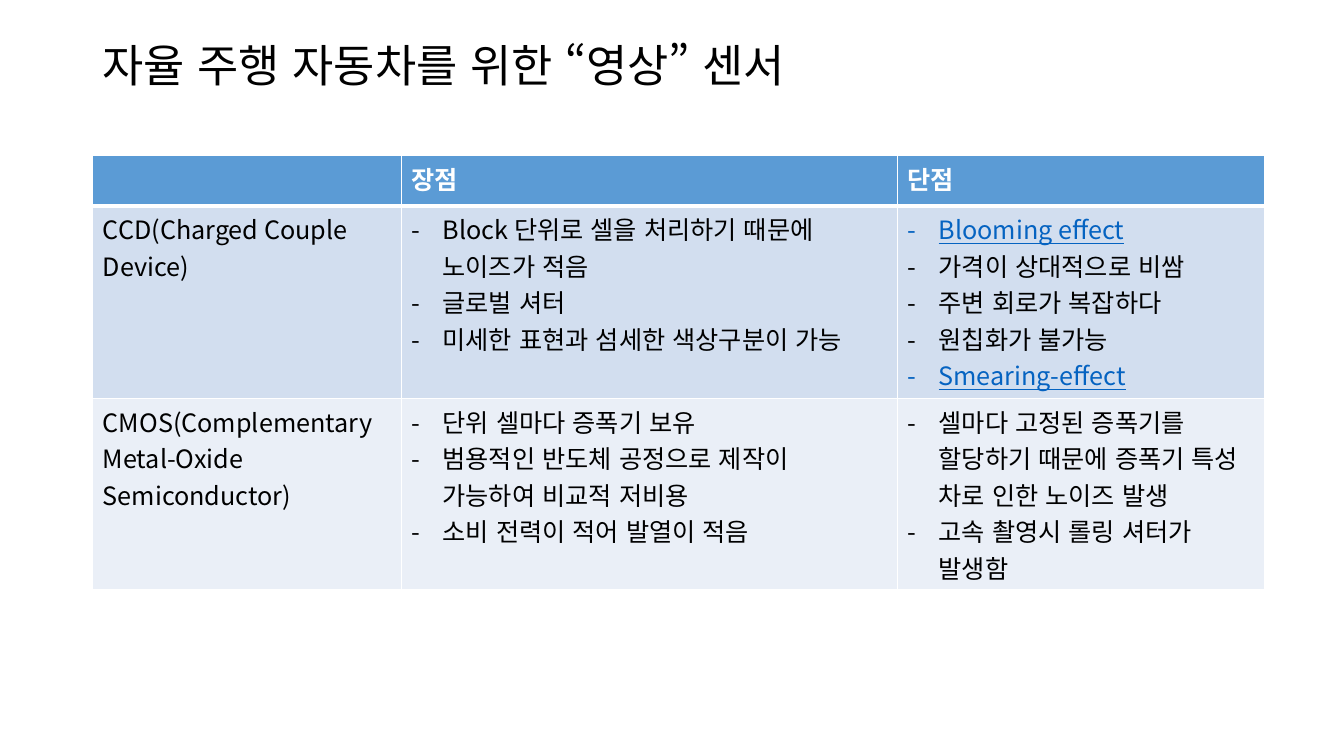
from lxml.etree import SubElement
from pptx import Presentation
from pptx.dml.color import RGBColor
from pptx.enum.lang import MSO_LANGUAGE_ID
from pptx.enum.text import MSO_ANCHOR
from pptx.oxml.ns import qn
from pptx.util import Inches, Pt

FONT = "Noto Sans CJK KR"
BLACK = RGBColor(0x00, 0x00, 0x00)
WHITE = RGBColor(0xFF, 0xFF, 0xFF)
LINK = RGBColor(0x05, 0x63, 0xC1)
HEAD = RGBColor(0x5B, 0x9B, 0xD5)
BANDS = [RGBColor(0xD2, 0xDE, 0xEF), RGBColor(0xEA, 0xEF, 0xF7)]

TITLE = "자율 주행 자동차를 위한 “영상” 센서"
LINKS = {"Blooming effect", "Smearing-effect"}
WIDTHS = [3.06, 4.92, 3.64]
HEIGHTS = [0.5, 1.91, 1.9]
HEADERS = ["", "장점", "단점"]
SENSORS = [
    ("CCD(Charged Couple Device)",
     ["Block 단위로 셀을 처리하기 때문에 노이즈가 적음",
      "글로벌 셔터",
      "미세한 표현과 섬세한 색상구분이 가능"],
     ["Blooming effect",
      "가격이 상대적으로 비쌈",
      "주변 회로가 복잡하다",
      "원칩화가 불가능",
      "Smearing-effect"]),
    ("CMOS(Complementary Metal-Oxide Semiconductor)",
     ["단위 셀마다 증폭기 보유",
      "범용적인 반도체 공정으로 제작이 가능하여 비교적 저비용",
      "소비 전력이 적어 발열이 적음"],
     ["셀마다 고정된 증폭기를 할당하기 때문에 증폭기 특성 차로 인한 노이즈 발생",
      "고속 촬영시 롤링 셔터가 발생함"]),
]


def style(para, size, color, bold=False, under=False):
    for run in para.runs:
        font = run.font
        font.name, font.size = FONT, Pt(size)
        font.bold, font.underline = bold, under
        font.color.rgb = color
        font.language_id = MSO_LANGUAGE_ID.KOREAN
        # Korean glyphs take the East Asian font
        SubElement(font._element, qn("a:ea"), typeface=FONT)


def add_dash(para):
    props = para._p.get_or_add_pPr()
    props.set("marL", str(Inches(0.31)))
    props.set("indent", str(-Inches(0.31)))
    SubElement(props, qn("a:buFont"), typeface=FONT)
    SubElement(props, qn("a:buChar"), char="-")


def add_edges(cell, top, bottom):
    props = cell._tc.get_or_add_tcPr()
    for side, width in (("L", 1), ("R", 1), ("T", top), ("B", bottom)):
        line = SubElement(props, qn("a:ln" + side), w=str(Pt(width)))
        fill = SubElement(line, qn("a:solidFill"))
        SubElement(fill, qn("a:srgbClr"), val=str(WHITE))


def paint(cell, color, top=1, bottom=1):
    add_edges(cell, top, bottom)
    cell.fill.solid()
    cell.fill.fore_color.rgb = color


def fill_list(cell, items):
    frame = cell.text_frame
    frame.text = "\n".join(items)
    for para in frame.paragraphs:
        add_dash(para)
        linked = para.text in LINKS
        style(para, 18, LINK if linked else BLACK, under=linked)


def add_title(slide):
    box = slide.shapes.add_textbox(
        Inches(0.92), Inches(0.4), Inches(11.5), Inches(0.54))
    frame = box.text_frame
    frame.word_wrap = True
    frame.vertical_anchor = MSO_ANCHOR.MIDDLE
    frame.text = TITLE
    para = frame.paragraphs[0]
    para.line_spacing = 0.9
    style(para, 32, BLACK)


def add_grid(slide):
    table = slide.shapes.add_table(
        len(HEIGHTS), len(WIDTHS), Inches(0.92), Inches(1.54),
        Inches(sum(WIDTHS)), Inches(sum(HEIGHTS))).table
    for col, width in zip(table.columns, WIDTHS):
        col.width = Inches(width)
    for row, height in zip(table.rows, HEIGHTS):
        row.height = Inches(height)

    # Header row
    for cell, text in zip(table.rows[0].cells, HEADERS):
        paint(cell, HEAD, bottom=3)
        cell.text_frame.text = text
        style(cell.text_frame.paragraphs[0], 18, WHITE, bold=True)

    # One row per sensor
    for num, (name, pros, cons) in enumerate(SENSORS):
        cells = list(table.rows[num + 1].cells)
        for cell in cells:
            paint(cell, BANDS[num], top=1 if num else 3)
        cells[0].text_frame.text = name
        style(cells[0].text_frame.paragraphs[0], 18, BLACK)
        fill_list(cells[1], pros)
        fill_list(cells[2], cons)


def main():
    deck = Presentation()
    deck.slide_width, deck.slide_height = Inches(13.33), Inches(7.5)
    slide = deck.slides.add_slide(deck.slide_layouts[6])
    add_title(slide)
    add_grid(slide)
    deck.save("out.pptx")


if __name__ == "__main__":
    main()
